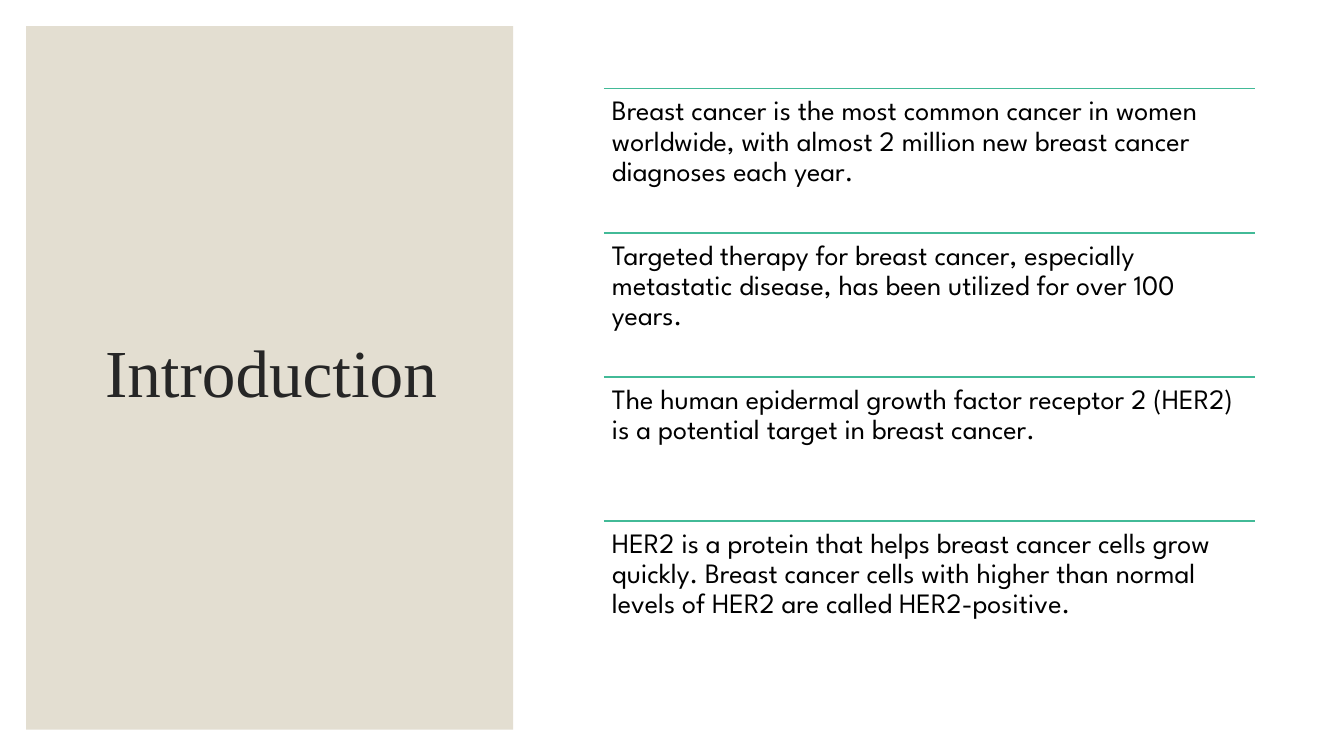
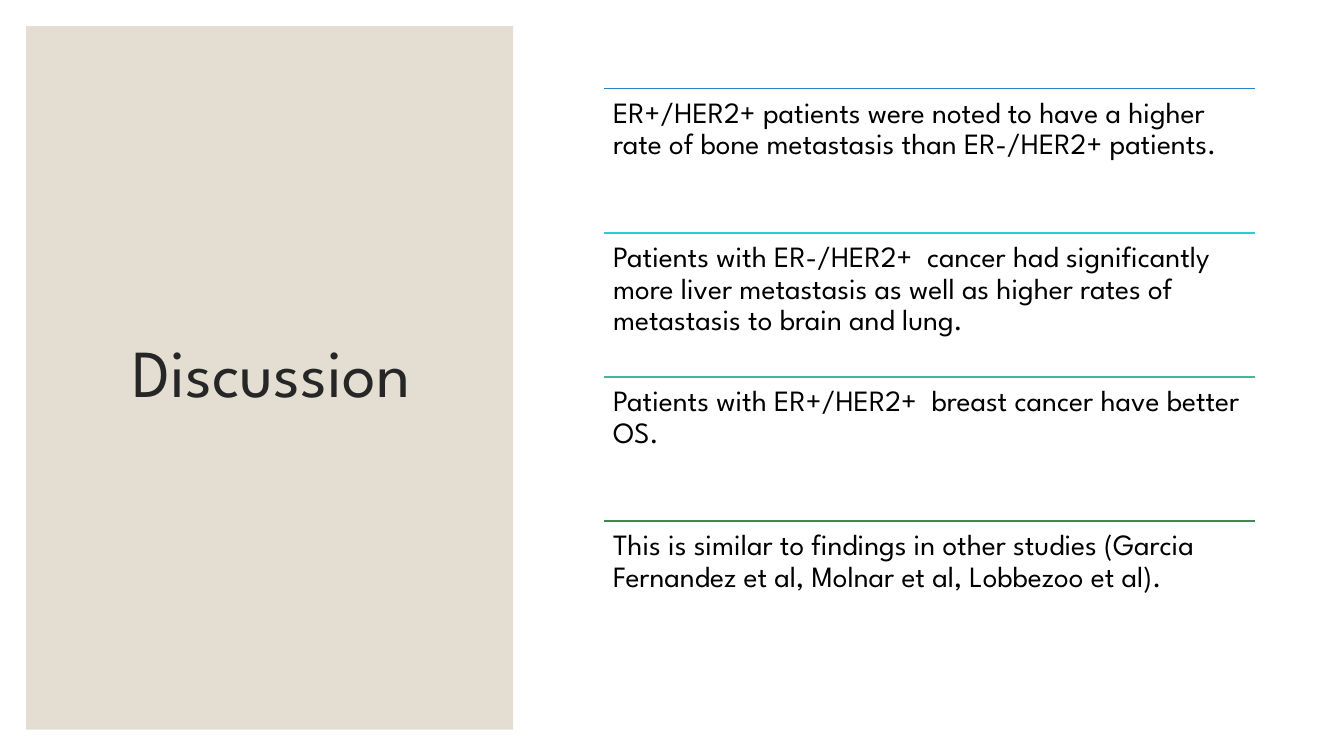
from pptx import Presentation
from pptx.dml.color import RGBColor
from pptx.enum.shapes import MSO_CONNECTOR as Conn, MSO_SHAPE as Shape
from pptx.enum.text import MSO_ANCHOR as Anchor, PP_ALIGN as Align
from pptx.oxml.ns import qn
from pptx.util import Inches, Pt
from lxml.etree import SubElement

SANS = "League Spartan"
SAND, INK, BLACK = "E3DED1", "262626", "000000"
BLUE, CYAN, TEAL, GREEN = "2683C6", "27CED7", "42BA97", "3E8853"
LEFT, TOP, WIDTH, STEP = 5.99, 0.88, 6.46, 1.43

SLIDES = [
    {
        "title": "Introduction", "font": "Times New Roman",
        "size": 20, "inset": 0.08,
        "rows": [
            (TEAL, "Breast cancer is the most common cancer in women worldwide, "
                   "with almost 2 million new breast cancer diagnoses each year."),
            (TEAL, "Targeted therapy for breast cancer, especially metastatic "
                   "disease, has been utilized for over 100 years."),
            (TEAL, "The human epidermal growth factor receptor 2 (HER2) is a "
                   "potential target in breast cancer."),
            (TEAL, "HER2 is a protein that helps breast cancer cells grow quickly. "
                   "Breast cancer cells with higher than normal levels of HER2 "
                   "are called HER2-positive."),
        ],
    },
    {
        "title": "Discussion", "font": SANS,
        "size": 21, "inset": 0.09,
        "rows": [
            (BLUE, "ER+/HER2+ patients were noted to have a higher rate of bone "
                   "metastasis than ER-/HER2+ patients."),
            (CYAN, "Patients with ER-/HER2+  cancer had significantly more liver "
                   "metastasis as well as higher rates of metastasis to brain "
                   "and lung."),
            (TEAL, "Patients with ER+/HER2+  breast cancer have better OS."),
            (GREEN, "This is similar to findings in other studies (Garcia "
                    "Fernandez et al, Molnar et al, Lobbezoo et al)."),
        ],
    },
]


def color(code):
    """Turn a hex string into a colour."""
    return RGBColor.from_string(code)


def add_panel(slide):
    """Draw the sand panel behind the title."""
    panel = slide.shapes.add_shape(
        Shape.RECTANGLE, *map(Inches, (0.26, 0.26, 4.83, 6.98)))
    panel.shadow.inherit = False
    panel.fill.solid()
    panel.fill.fore_color.rgb = color(SAND)
    panel.line.fill.background()


def add_text(slide, box, text, font, size, ink):
    """Add a wrapped text box and return its frame and paragraph."""
    frame = slide.shapes.add_textbox(*map(Inches, box)).text_frame
    frame.word_wrap = True
    para = frame.paragraphs[0]
    para.text = text
    para.line_spacing = 0.9
    para.font.name = font
    para.font.size = Pt(size)
    para.font.color.rgb = color(ink)
    return frame, para


def add_title(slide, text, font):
    """Centre the title on the panel."""
    frame, para = add_text(
        slide, (0.63, 0.61, 4.12, 6.24), text, font, 48, INK)
    frame.vertical_anchor = Anchor.MIDDLE
    para.alignment = Align.CENTER


def add_rule(slide, top, code):
    """Draw a thin rule across the text column."""
    rule = slide.shapes.add_connector(
        Conn.STRAIGHT, *map(Inches, (LEFT, top, LEFT + WIDTH, top)))
    rule.line.color.rgb = color(code)
    rule.line.width = Pt(1)
    SubElement(rule._element.spPr, qn("a:effectLst"))


def add_row(slide, top, text, size, inset):
    """Add one statement below its rule."""
    frame, _ = add_text(
        slide, (LEFT, top, WIDTH, STEP), text, SANS, size, BLACK)
    frame.margin_left = frame.margin_right = Inches(inset)
    frame.margin_top = frame.margin_bottom = Inches(inset)


def main():
    """Build and save the slides."""
    deck = Presentation()
    deck.slide_width, deck.slide_height = Inches(13.33), Inches(7.5)
    for page in SLIDES:
        slide = deck.slides.add_slide(deck.slide_layouts[6])
        add_panel(slide)
        add_title(slide, page["title"], page["font"])
        for i, (code, text) in enumerate(page["rows"]):
            top = TOP + i * STEP
            add_rule(slide, top, code)
            add_row(slide, top, text, page["size"], page["inset"])
    deck.save("out.pptx")


if __name__ == "__main__":
    main()
